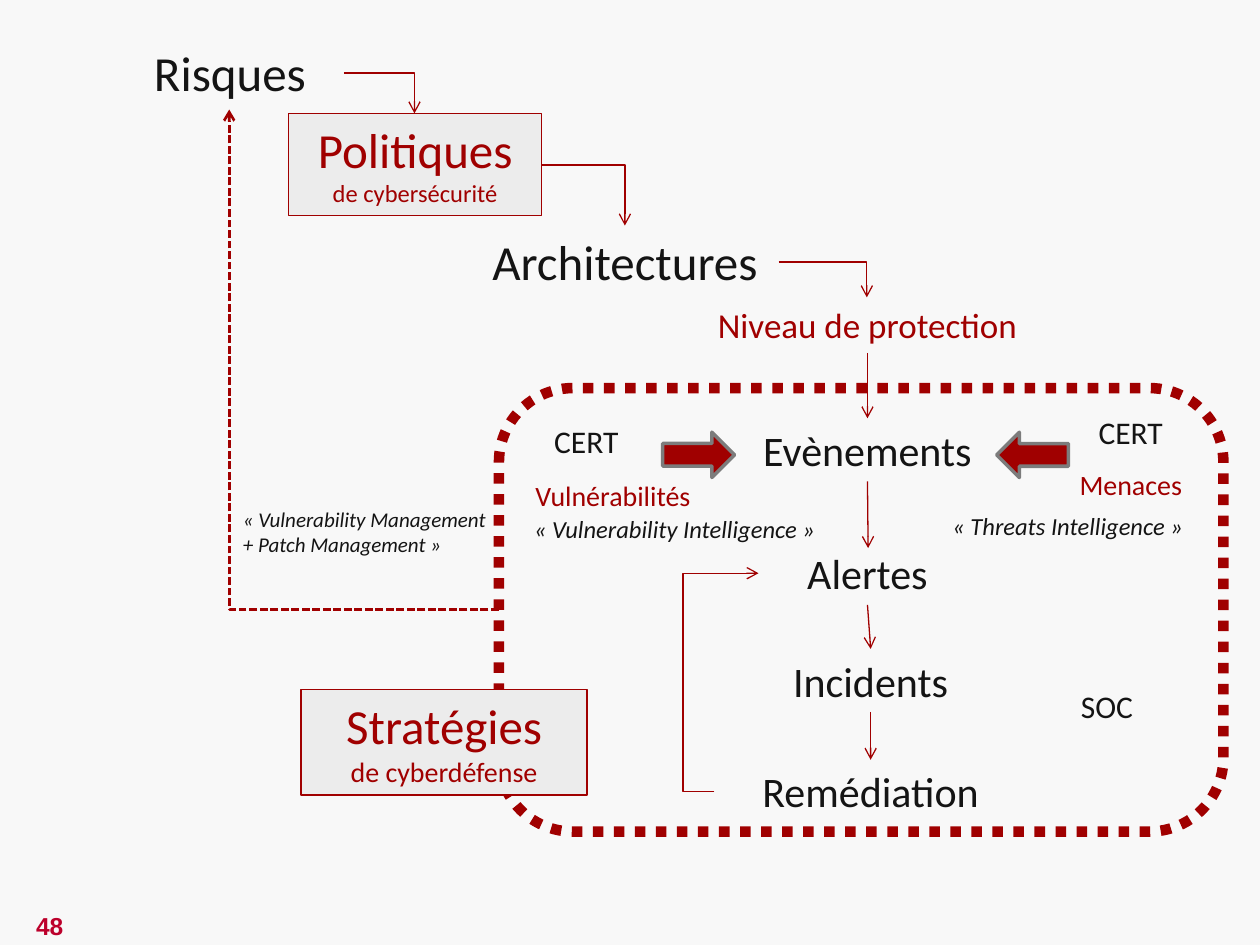
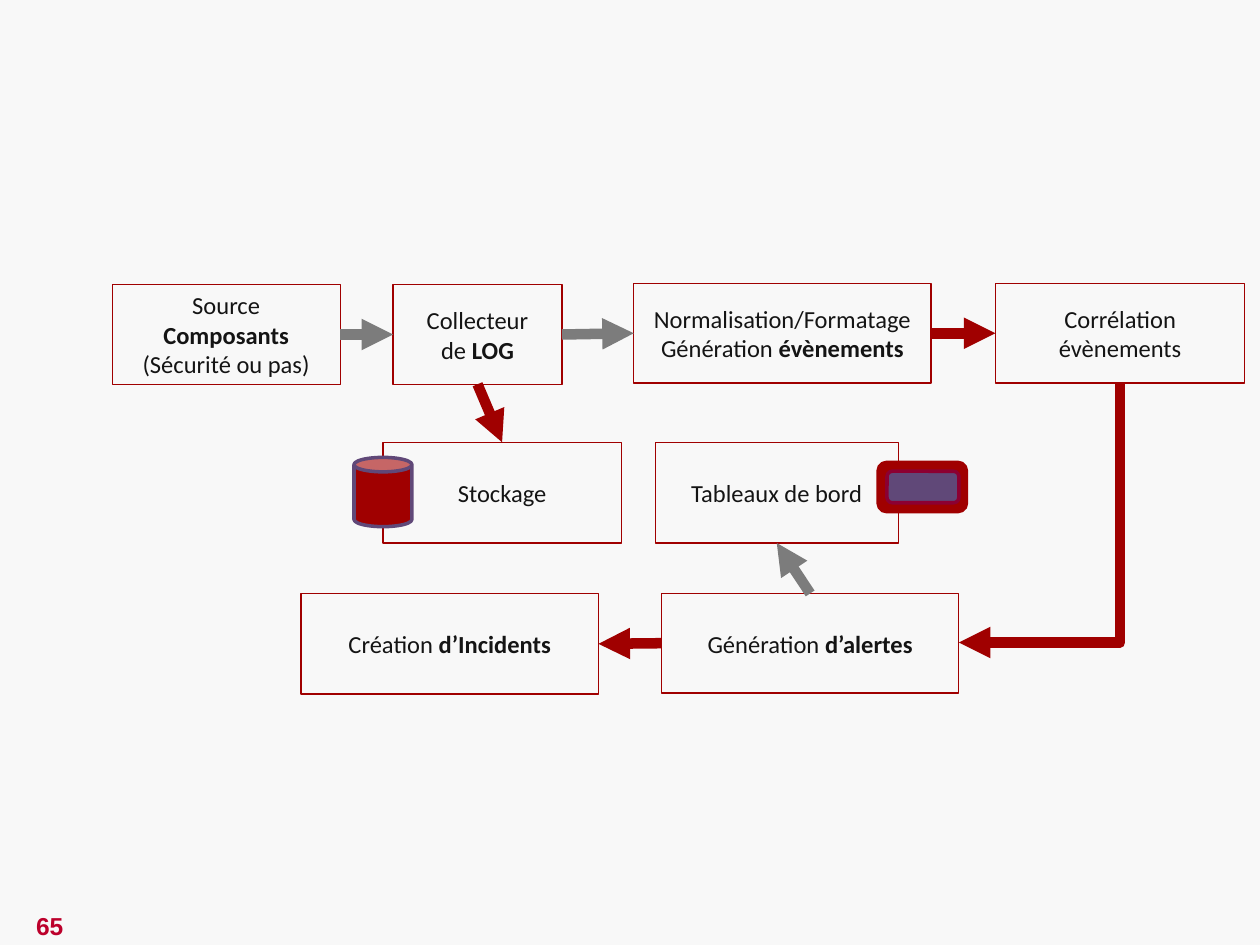
from dataclasses import dataclass
from typing import Any

from pptx import Presentation
from pptx.dml.color import RGBColor
from pptx.enum.dml import MSO_LINE_DASH_STYLE as Dash
from pptx.enum.shapes import MSO_CONNECTOR as Link, MSO_SHAPE as Form
from pptx.enum.text import MSO_ANCHOR as Anchor, PP_ALIGN as Align
from pptx.oxml.ns import qn
from pptx.util import Inches, Pt
from lxml.etree import SubElement

PAPER = RGBColor(0xF8, 0xF8, 0xF8)
INK = RGBColor(0x14, 0x14, 0x14)
RED = RGBColor(0xA0, 0x00, 0x00)
PALE = RGBColor(0xEC, 0xEC, 0xEC)
GREY = RGBColor(0x7C, 0x7C, 0x7C)
PLUM = RGBColor(0x60, 0x48, 0x78)
WINE = RGBColor(0x8C, 0x00, 0x32)
ROSE = RGBColor(0xBC, 0x00, 0x2B)


@dataclass
class Area:
    slide: Any
    left: float
    top: float

    def spot(self, x, y):
        return Inches(self.left + x), Inches(self.top + y)

    def box(self, x, y, w, h):
        return *self.spot(x, y), Inches(w), Inches(h)


def write(shape, lines, sizes, color=INK, align=Align.CENTER, name="Calibri",
          bold=False, italic=False):
    frame = shape.text_frame
    for i, (line, size) in enumerate(zip(lines, sizes)):
        para = frame.paragraphs[0] if i == 0 else frame.add_paragraph()
        para.alignment = align
        font = para.font
        font.name, font.size, font.color.rgb = name, Pt(size), color
        font.bold, font.italic = bold, italic
        for j, part in enumerate(line.split("*")):
            if part:
                run = para.add_run()
                run.text = part
                if j % 2:
                    run.font.bold = True


def label(area, box, text, size, color=INK):
    shape = area.slide.shapes.add_textbox(*area.box(*box))
    shape.text_frame.word_wrap = True
    write(shape, [text], [size], color)
    return shape


def note(area, box, lines, size, italic=True):
    shape = area.slide.shapes.add_textbox(*area.box(*box))
    shape.text_frame.word_wrap = False
    write(shape, lines, [size] * len(lines), align=Align.LEFT, italic=italic)


def draw(area, form, box, fill=None, line=RED, width=0.75):
    shape = area.slide.shapes.add_shape(form, *area.box(*box))
    shape.shadow.inherit = False
    if fill is None:
        shape.fill.background()
    else:
        shape.fill.solid()
        shape.fill.fore_color.rgb = fill
    shape.line.color.rgb = line
    shape.line.width = Pt(width)
    return shape


def panel(area, box, lines, sizes):
    shape = draw(area, Form.RECTANGLE, box, PALE)
    shape.text_frame.vertical_anchor = Anchor.TOP
    write(shape, lines, sizes, RED)


def arrow(area, start=(0, 0), end=(0, 0), kind=Link.STRAIGHT, color=RED,
          width=0.75, head="arrow", side="tailEnd"):
    link = area.slide.shapes.add_connector(
        kind, *area.spot(*start), *area.spot(*end))
    link.line.color.rgb = color
    link.line.width = Pt(width)
    props = link._element.spPr
    SubElement(props.find(qn("a:ln")), qn("a:" + side), type=head)
    SubElement(props, qn("a:effectLst"))
    return link


def bend(area, start, end, **look):
    link = arrow(area, start, end, Link.ELBOW, **look)
    link._element.spPr.find(qn("a:prstGeom")).set("prst", "bentConnector2")
    return link


def loop(area, start, end, ratio):
    link = arrow(area, start, end, Link.ELBOW)
    geom = link._element.spPr.find(qn("a:prstGeom"))
    guides = geom.find(qn("a:avLst"))
    if guides is None:
        guides = SubElement(geom, qn("a:avLst"))
    SubElement(guides, qn("a:gd"), name="adj1", fmla=f"val {ratio}")


def join(area, first, last, sides=(2, 0), **look):
    link = arrow(area, **look)
    link.begin_connect(first, sides[0])
    link.end_connect(last, sides[1])


def cascade(area):
    label(area, (0, 0, 1.83, 0.57), "Risques", 28)
    panel(area, (1.38, 0.61, 2.01, 0.81),
          ["Politiques", "de cybersécurité"], [28, 14])
    label(area, (2.83, 1.5, 2.44, 0.57), "Architectures", 28)
    level = label(area, (3.69, 2.07, 4.57, 0.44), "Niveau de protection", 20, RED)
    for start, end in [((1.82, 0.29), (2.38, 0.61)),
                       ((3.39, 1.02), (4.05, 1.5)),
                       ((5.27, 1.79), (5.97, 2.07))]:
        bend(area, start, end)
    back = bend(area, (3.05, 4.55), (0.91, 0.58), width=1.5)
    back.line.dash_style = Dash.SQUARE_DOT
    note(area, (0.92, 3.68, 2.14, 0.5),
         ["« Vulnerability Management", "+ Patch Management »"], 12)
    return level


def defence(area, level):
    steps = [label(area, (x, y, w, 0.5), text, 24) for x, y, w, text in [
        (1.61, 0.24, 2.63, "Evènements"), (2.06, 1.22, 1.73, "Alertes"),
        (1.45, 2.07, 3, "Incidents"), (1.71, 2.95, 2.48, "Remédiation")]]
    join(area, level, steps[0])
    fall = arrow(area, (2.92, 0.74), (2.93, 1.27))
    fall.begin_connect(steps[0], 2)
    for first, last in zip(steps[1:], steps[2:]):
        join(area, first, last)
    label(area, (-0.53, 0.67, 2.87, 0.37), "Vulnérabilités", 16, RED)
    label(area, (4.1, 0.58, 1.83, 0.37), "Menaces", 16, RED)
    for x, turn in [(1.3, 0), (3.95, 180)]:
        block = draw(area, Form.RIGHT_ARROW, (x, 0.35, 0.57, 0.36), RED, GREY, 2)
        block.rotation = turn
    ring = draw(area, Form.ROUNDED_RECTANGLE, (0, 0, 5.75, 3.52), width=6)
    ring.line.dash_style = Dash.ROUND_DOT
    loop(area, (1.71, 3.2), (2.06, 1.47), -71200)
    panel(area, (-1.57, 2.39, 2.27, 0.84),
          ["Stratégies", "de cyberdéfense"], [28, 16])
    note(area, (3.5, 0.93, 2.05, 0.34), ["« Threats Intelligence »"], 14)
    note(area, (0.18, 0.95, 2.46, 0.34), ["« Vulnerability Intelligence »"], 14)
    for x, y, w, text in [(0.34, 0.22, 0.72, "CERT"), (4.66, 0.15, 0.72, "CERT"),
                          (4.52, 2.32, 0.62, "SOC")]:
        note(area, (x, y, w, 0.4), [text], 18, False)


def node(area, box, *lines):
    shape = draw(area, Form.RECTANGLE, box)
    shape.text_frame.vertical_anchor = Anchor.MIDDLE
    write(shape, lines, [14] * len(lines))
    return shape


def flow(area):
    source = node(area, (0, 0.01, 1.81, 0.79),
                  "Source", "*Composants*", "(Sécurité ou pas)")
    logs = node(area, (2.23, 0.01, 1.34, 0.79), "Collecteur", "de *LOG*")
    norm = node(area, (4.14, 0, 2.36, 0.79),
                "Normalisation/Formatage", "Génération *évènements*")
    match = node(area, (7.01, 0, 1.98, 0.79), "Corrélation", "évènements")
    alert = node(area, (4.36, 2.46, 2.36, 0.79), "Génération *d’alertes*")
    case = node(area, (1.5, 2.46, 2.36, 0.8), "Création *d’Incidents*")
    board = node(area, (4.31, 1.26, 1.93, 0.8), "Tableaux de bord")
    draw(area, Form.ROUNDED_RECTANGLE, (6.08, 1.42, 0.7, 0.39), RED, RED, 2)
    draw(area, Form.ROUNDED_RECTANGLE, (6.15, 1.49, 0.57, 0.25), PLUM, WINE, 2)
    store = node(area, (2.15, 1.26, 1.89, 0.8), "Stockage")
    for first, last, sides, color in [
            (source, logs, (3, 1), GREY), (logs, norm, (3, 1), GREY),
            (norm, match, (3, 1), RED), (alert, case, (1, 3), RED),
            (logs, store, (2, 0), RED), (alert, board, (0, 2), GREY)]:
        join(area, first, last, sides, color=color, width=6, head="triangle")
    bend(area, (6.72, 2.85), (8, 0.79), width=6, head="triangle", side="headEnd")
    draw(area, Form.CAN, (1.92, 1.38, 0.46, 0.55), RED, PLUM, 2)


def page(deck, number):
    slide = deck.slides.add_slide(deck.slide_layouts[6])
    slide.background.fill.solid()
    slide.background.fill.fore_color.rgb = PAPER
    area = Area(slide, 0, 0)
    foot = slide.shapes.add_textbox(*area.box(-0.02, 7.18, 0.83, 0.34))
    foot.text_frame.word_wrap = True
    foot.text_frame.vertical_anchor = Anchor.MIDDLE
    write(foot, [str(number)], [14], ROSE, name="Arial", bold=True)
    return slide


def main():
    deck = Presentation()
    deck.slide_width, deck.slide_height = Inches(10), Inches(7.5)
    slide = page(deck, 48)
    level = cascade(Area(slide, 0.91, 0.29))
    defence(Area(slide, 3.96, 3.08), level)
    flow(Area(page(deck, 65), 0.89, 2.25))
    deck.save("out.pptx")


if __name__ == "__main__":
    main()
